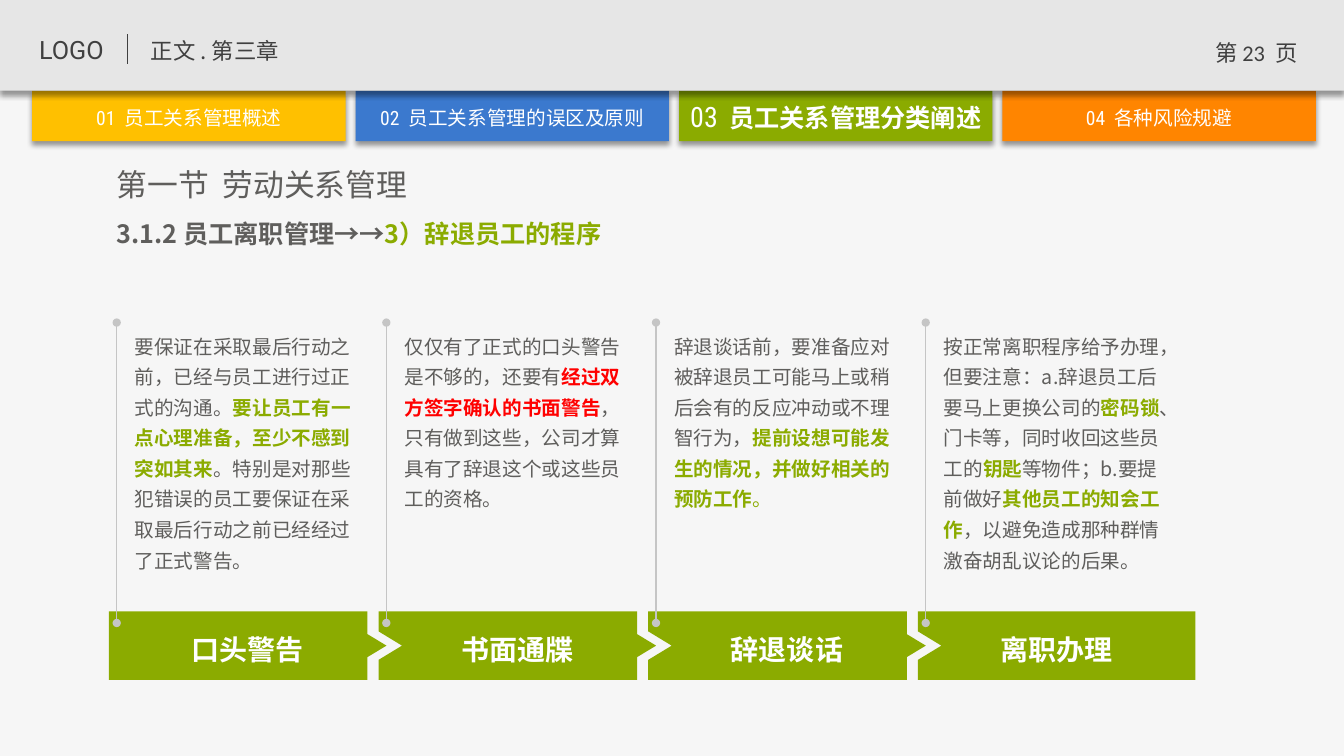
from lxml import etree
from pptx import Presentation
from pptx.dml.color import RGBColor
from pptx.enum import shapes, text
from pptx.oxml import ns
from pptx.util import Pt


class Theme:
    background, header = "F6F6F6", "E6E6E6"
    dark, body, rule, white = "404040", "5F5E5C", "C5C5C5", "FFFFFF"
    yellow, blue, green, orange, red = "FFC000", "3B79CE", "8BAB00", "FF8500", "FF0000"
    cjk, logo, number, page = "Noto Sans CJK SC", "Roboto", "Roboto Condensed", "Calibri"
    section, step, current, heading, crumb, small = 22, 20, 20, 18, 16, 14


SLIDE_W, SLIDE_H, HEADER_H = 960.48, 540, 64.8
CHAPTERS = [
    ("01", "员工关系管理概述", Theme.yellow),
    ("02", "员工关系管理的误区及原则", Theme.blue),
    ("03", "员工关系管理分类阐述", Theme.green),
    ("04", "各种风险规避", Theme.orange),
]
CURRENT_CHAPTER = "03"
# Each step: title, then (wording, highlight colour or None)
STEPS = [
    ("口头警告", [
        ("要保证在采取最后行动之前，已经与员工进行过正式的沟通。", None),
        ("要让员工有一点心理准备，至少不感到突如其来", Theme.green),
        ("。特别是对那些犯错误的员工要保证在采取最后行动之前已经经过了正式警告。", None)]),
    ("书面通牒", [
        ("仅仅有了正式的口头警告是不够的，还要有", None),
        ("经过双方签字确认的书面警告", Theme.red),
        ("，只有做到这些，公司才算具有了辞退这个或这些员工的资格。", None)]),
    ("辞退谈话", [
        ("辞退谈话前，要准备应对被辞退员工可能马上或稍后会有的反应冲动或不理智行为，", None),
        ("提前设想可能发生的情况，并做好相关的预防工作", Theme.green),
        ("。", Theme.green)]),
    ("离职办理", [
        ("按正常离职程序给予办理，但要注意：a.辞退员工后要马上更换公司的", None),
        ("密码锁", Theme.green),
        ("、门卡等，同时收回这些员工的", None),
        ("钥匙", Theme.green),
        ("等物件；b.要提前做好", None),
        ("其他员工的知会工作", Theme.green),
        ("，以避免造成那种群情激奋胡乱议论的后果。", None)]),
]
TAB_LEFT, TAB_W, TAB_H, TAB_PITCH = 23.04, 224, 36, 231.12
STEP_LEFT, STEP_TOP, STEP_H, STEP_PITCH = 77.8, 436.8, 48.8, 192.72
SHOULDER, TIP, NOTCH, LAST_W = 184.8, 198.4, 16.8, 198.4
STEP_MID = STEP_TOP + STEP_H / 2
PIN_TOP, PIN_END = 230.4, 445


def rgb(value):
    return RGBColor.from_string(value)


def run(wording, size, color=Theme.body, font=Theme.cjk, bold=False):
    return wording, size, color, font, bold


def write(frame, runs, align=text.PP_ALIGN.LEFT, spacing=None):
    frame.word_wrap = True
    paragraph = frame.paragraphs[0]
    paragraph.alignment = align
    if spacing:
        paragraph.line_spacing = spacing
    for wording, size, color, font, bold in runs:
        piece = paragraph.add_run()
        piece.text = wording
        piece.font.size, piece.font.bold, piece.font.name = Pt(size), bold, font
        piece.font.color.rgb = rgb(color)
        east_asian = etree.SubElement(piece.font._element, ns.qn("a:ea"))
        east_asian.set("typeface", font)


def add_label(slide, box, runs, inset=True, **layout):
    frame = slide.shapes.add_textbox(*map(Pt, box)).text_frame
    if not inset:
        frame.margin_left = frame.margin_right = frame.margin_top = frame.margin_bottom = 0
        frame.vertical_anchor = text.MSO_ANCHOR.MIDDLE
    write(frame, runs, **layout)


def paint(shape, color):
    shape.shadow.inherit = False
    shape.fill.solid()
    shape.fill.fore_color.rgb = rgb(color)
    shape.line.fill.background()


def add_raised_bar(slide, box, color):
    """Rectangle with a soft shadow below it."""
    bar = slide.shapes.add_shape(shapes.MSO_SHAPE.RECTANGLE, *map(Pt, box))
    paint(bar, color)
    effects = bar._element.spPr.find(ns.qn("a:effectLst"))
    shadow = etree.SubElement(effects, ns.qn("a:outerShdw"), blurRad=str(Pt(4)),
                              dist=str(Pt(3)), dir="5400000", algn="t", rotWithShape="0")
    tint = etree.SubElement(shadow, ns.qn("a:srgbClr"), val="000000")
    etree.SubElement(tint, ns.qn("a:alpha"), val="40000")


def add_rule(slide, x, top, bottom, color, ends=None):
    rule = slide.shapes.add_connector(shapes.MSO_CONNECTOR.STRAIGHT,
                                      Pt(x), Pt(top), Pt(x), Pt(bottom))
    rule.line.width = Pt(0.75)
    rule.line.color.rgb = rgb(color)
    if ends:
        for end in ("a:headEnd", "a:tailEnd"):
            etree.SubElement(rule.line._get_or_add_ln(), ns.qn(end), type=ends)
    etree.SubElement(rule._element.spPr, ns.qn("a:effectLst"))


def step_outline(left, first, last):
    """Corners of a step: a tip on the right unless last, a notch on the left unless first."""
    bottom = STEP_TOP + STEP_H
    if last:
        right = [(left + LAST_W, STEP_TOP), (left + LAST_W, bottom)]
    else:
        edge = left + SHOULDER
        right = [(edge, STEP_TOP), (edge, STEP_MID - 8.2), (left + TIP, STEP_MID),
                 (edge, STEP_MID + 8.2), (edge, bottom)]
    notch = [] if first else [(left, STEP_MID + 10.2), (left + NOTCH, STEP_MID),
                              (left, STEP_MID - 10.2)]
    return [(left, STEP_TOP), *right, (left, bottom), *notch]


def add_header(slide):
    center = text.PP_ALIGN.CENTER
    for i, (_, _, color) in enumerate(CHAPTERS):
        add_raised_bar(slide, (TAB_LEFT + i * TAB_PITCH, HEADER_H, TAB_W, TAB_H), color)
    add_raised_bar(slide, (0, 0, SLIDE_W, HEADER_H), Theme.header)
    add_label(slide, (20.9, 20.9, 70.6, 28.8), [run("LOGO", 18, Theme.dark, Theme.logo)])
    add_rule(slide, 91.4, 24.5, 45.4, Theme.dark)
    add_label(slide, (854.6, 24.5, 86.4, 28.8),
              [run("第 ", Theme.crumb, Theme.dark),
               run("23  ", Theme.crumb, Theme.dark, Theme.page),
               run("页", Theme.crumb, Theme.dark)], align=center)
    add_label(slide, (100.8, 23, 235.4, 26.6), [run("正文 . 第三章", Theme.crumb, Theme.dark)])
    for i, (number, title, _) in enumerate(CHAPTERS):
        current = number == CURRENT_CHAPTER
        size = Theme.heading if current else Theme.small
        number_size = Theme.current if current else Theme.small
        height, middle = (24.5, 82.8) if current else (17.3, 84.2)
        add_label(slide, (TAB_LEFT + i * TAB_PITCH, middle - height / 2, TAB_W, height),
                  [run(number, number_size, Theme.white, Theme.number),
                   run("  ", size, Theme.white, Theme.number),
                   run(title, size, Theme.white, bold=current)],
                  inset=False, align=center)


def add_steps(slide):
    lefts = [STEP_LEFT + i * STEP_PITCH for i in range(len(STEPS))]
    for i, (left, (title, _)) in enumerate(zip(lefts, STEPS)):
        corners = [(Pt(x), Pt(y)) for x, y in step_outline(left, i == 0, i == len(STEPS) - 1)]
        outline = slide.shapes.build_freeform(*corners[0])
        outline.add_line_segments(corners[1:], close=True)
        step = outline.convert_to_shape()
        paint(step, Theme.green)
        step.text_frame.vertical_anchor = text.MSO_ANCHOR.MIDDLE
        write(step.text_frame, [run(title, Theme.step, Theme.white, bold=True)],
              align=text.PP_ALIGN.CENTER, spacing=1.2)
    for left, (_, details) in zip(lefts, STEPS):
        add_rule(slide, left + 5.6, PIN_TOP, PIN_END, Theme.rule, ends="oval")
        add_label(slide, (left + 11.4, PIN_TOP, 171.4, 183.6),
                  [run(wording, Theme.small, accent or Theme.body,
                       bold=bool(accent) and wording != "。") for wording, accent in details],
                  spacing=1.3)


def main():
    deck = Presentation()
    deck.slide_width, deck.slide_height = Pt(SLIDE_W), Pt(SLIDE_H)
    slide = deck.slides.add_slide(deck.slide_layouts[6])
    slide.background.fill.solid()
    slide.background.fill.fore_color.rgb = rgb(Theme.background)
    add_header(slide)
    add_label(slide, (76.3, 114.5, 391.7, 33.8), [run("第一节  劳动关系管理", Theme.section)])
    add_label(slide, (76.3, 146.2, 415.4, 35.3),
              [run("3.1.2 员工离职管理→→", Theme.heading, bold=True),
               run("3）辞退员工的程序", Theme.heading, Theme.green, bold=True)], spacing=1.3)
    add_steps(slide)
    deck.save("out.pptx")


if __name__ == "__main__":
    main()
